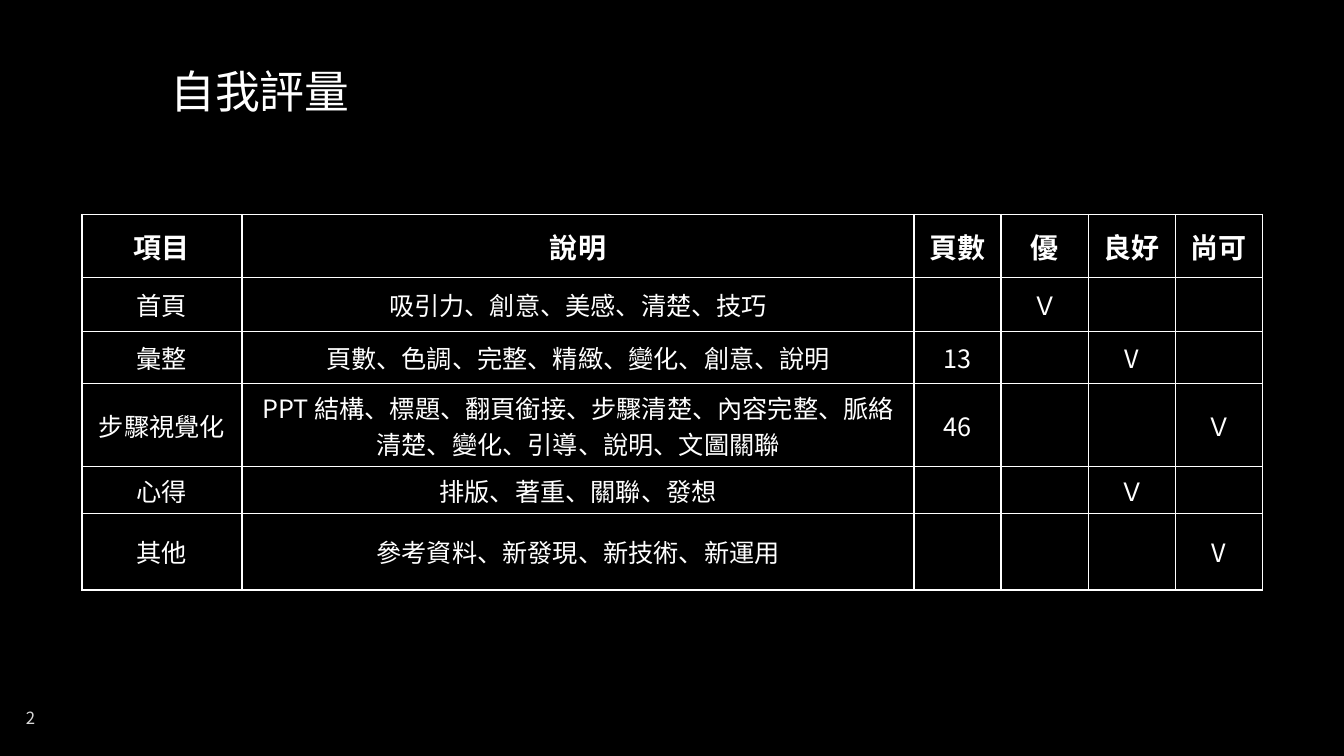
from lxml import etree
from pptx import Presentation
from pptx.dml.color import RGBColor
from pptx.enum.text import MSO_ANCHOR, MSO_AUTO_SIZE, PP_ALIGN
from pptx.oxml.ns import qn
from pptx.util import Pt

MIDDLE, BOTTOM = MSO_ANCHOR.MIDDLE, MSO_ANCHOR.BOTTOM
LEFT, CENTER = PP_ALIGN.LEFT, PP_ALIGN.CENTER
NO_FIT = MSO_AUTO_SIZE.NONE

COLORS = {"background": "000000", "text": "FFFFFF", "border": "FFFFFF", "number": "D9D9D9"}
FONT = "Noto Sans CJK SC"

COLUMN_WIDTHS = [114.4, 480] + [62.2] * 4
ROW_HEIGHTS = [44.8, 38.6, 37.6, 54, 31, 54.6]
ROWS = [
    ["項目", "說明", "頁數", "優", "良好", "尚可"],
    ["首頁", "吸引力、創意、美感、清楚、技巧", "", "Ｖ", "", ""],
    ["彙整", "頁數、色調、完整、精緻、變化、創意、說明", "13", "", "V", ""],
    ["步驟視覺化", "PPT 結構、標題、翻頁銜接、步驟清楚、內容完整、脈絡清楚、變化、引導、說明、文圖關聯",
     "46", "", "", "Ｖ"],
    ["心得", "排版、著重、關聯、發想", "", "", "Ｖ", ""],
    ["其他", "參考資料、新發現、新技術、新運用", "", "", "", "V"],
]


def write_text(frame, text, align, color, **font_format):
    """Fill the first paragraph, using FONT for Latin and East Asian letters."""
    para = frame.paragraphs[0]
    para.alignment = align
    span = para.add_run()
    span.text = text
    for name, value in font_format.items():
        setattr(span.font, name, value)
    span.font.color.rgb = RGBColor.from_string(COLORS[color])
    span.font.name = FONT
    etree.SubElement(span.font._element, qn("a:ea"), typeface=FONT)


def add_borders(cell):
    properties = cell._tc.get_or_add_tcPr()
    for index, side in enumerate(("lnL", "lnR", "lnT", "lnB")):
        line = etree.Element(qn(f"a:{side}"), w=str(Pt(1)))
        fill = etree.SubElement(line, qn("a:solidFill"))
        etree.SubElement(fill, qn("a:srgbClr"), val=COLORS["border"])
        properties.insert(index, line)


deck = Presentation()
deck.slide_width, deck.slide_height = Pt(960), Pt(540)
page = deck.slides.add_slide(deck.slide_layouts[5])
page.background.fill.solid()
page.background.fill.fore_color.rgb = RGBColor.from_string(COLORS["background"])

# Title
title = page.shapes.title
title.left, title.top, title.width, title.height = Pt(114.5), Pt(43.2), Pt(828), Pt(44.6)
title.text_frame.auto_size = NO_FIT
title.text_frame.vertical_anchor = BOTTOM
write_text(title.text_frame, "自我評量", LEFT, "text", size=Pt(32))
title.text_frame.paragraphs[0].line_spacing = 0.9

# Self-assessment table
frame = page.shapes.add_table(len(ROWS), len(COLUMN_WIDTHS), Pt(58.5), Pt(153.2),
                              Pt(sum(COLUMN_WIDTHS)), Pt(sum(ROW_HEIGHTS)))
table = frame.table
for column, width in zip(table.columns, COLUMN_WIDTHS):
    column.width = Pt(width)
for row, height in zip(table.rows, ROW_HEIGHTS):
    row.height = Pt(height)
for row_index, texts in enumerate(ROWS):
    is_header = row_index == 0
    for column_index, text in enumerate(texts):
        cell = table.cell(row_index, column_index)
        cell.vertical_anchor = MIDDLE
        cell.fill.background()
        add_borders(cell)
        if text:
            write_text(cell.text_frame, text, CENTER, "text",
                       size=Pt(20 if is_header else 18), bold=is_header)

# Page number
number = page.shapes.add_textbox(Pt(11.5), Pt(499), Pt(48.2), Pt(28))
number.text_frame.word_wrap = True
number.text_frame.vertical_anchor = MIDDLE
write_text(number.text_frame, "2", LEFT, "number", size=Pt(12))

deck.save("out.pptx")
